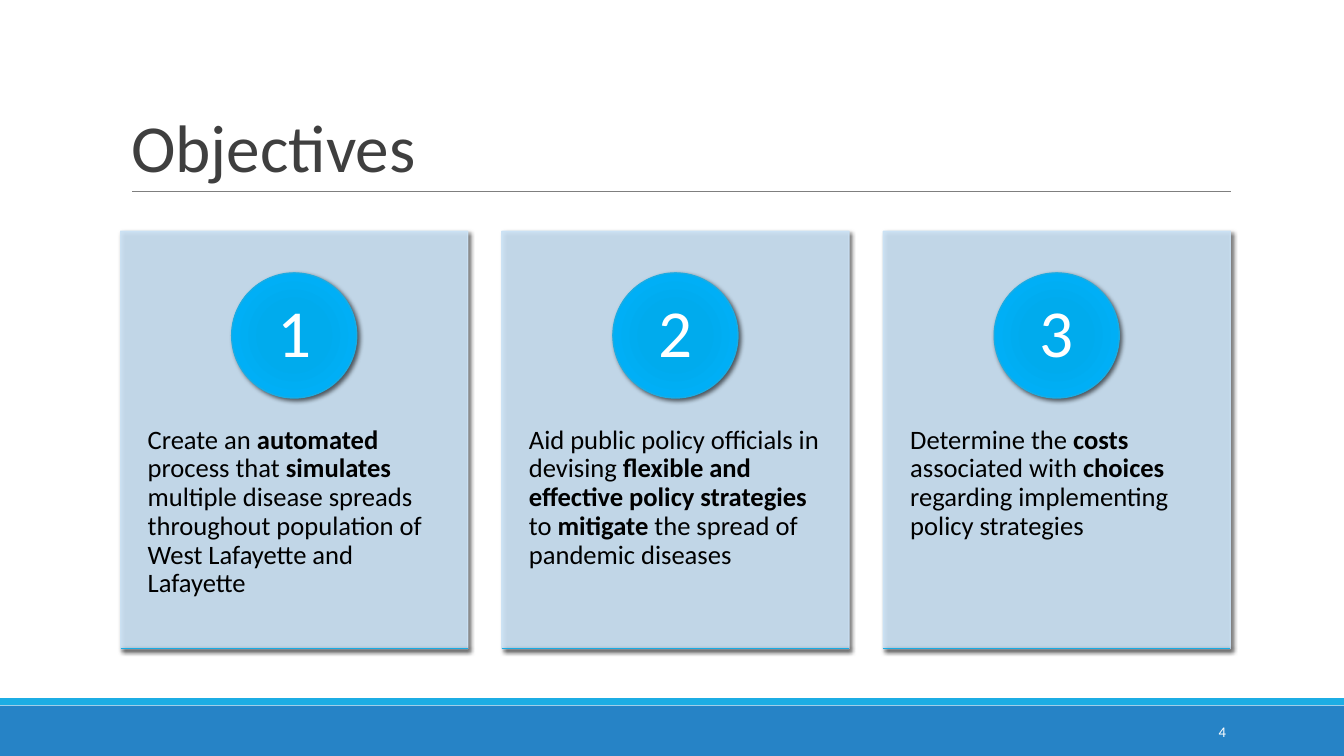
import dataclasses

import lxml.etree
import pptx
import pptx.dml.color
import pptx.enum.shapes
import pptx.enum.text
import pptx.oxml
import pptx.oxml.ns
import pptx.util

Pt = pptx.util.Pt
Shape = pptx.enum.shapes.MSO_SHAPE
Anchor = pptx.enum.text.MSO_ANCHOR
Align = pptx.enum.text.PP_ALIGN
qn = pptx.oxml.ns.qn


@dataclasses.dataclass(frozen=True)
class Theme:
    font: str = "Calibri"
    title: str = "3F3F3F"
    body: str = "000000"
    white: str = "FFFFFF"
    rule: str = "7F7F7F"
    footer: str = "2683C6"
    stripe: str = "1CADE4"
    card: str = "CBE2F5"
    accent: str = "19ACE4"
    badge_stops: tuple = ((0, "00ABEF"), (34, "00ABED"), (70, "00AFF6"), (100, "0EB0EE"))
    card_opacity: int = 89
    large_size: float = 48
    body_size: float = 19
    page_size: float = 10.5


@dataclasses.dataclass(frozen=True)
class Box:
    left: float
    top: float
    width: float
    height: float

    def lengths(self):
        return [Pt(value) for value in dataclasses.astuple(self)]


THEME = Theme()
SLIDE = Box(0, 0, 960, 540)
OBJECTIVES = [
    [("Create an ", False), ("automated", True), (" process that ", False), ("simulates", True),
     (" multiple disease spreads throughout population of West Lafayette and Lafayette", False)],
    [("Aid public policy officials in devising ", False),
     ("flexible and effective policy strategies", True), (" to ", False), ("mitigate ", True),
     ("the spread of pandemic diseases", False)],
    [("Determine the ", False), ("costs", True), (" associated with ", False), ("choices ", True),
     ("regarding implementing policy strategies", False)],
]


def color(value):
    return pptx.dml.color.RGBColor.from_string(value)


def set_frame(frame, horizontal, vertical, anchor):
    frame.word_wrap = True
    frame.auto_size = pptx.enum.text.MSO_AUTO_SIZE.NONE
    frame.margin_left = frame.margin_right = Pt(horizontal)
    frame.margin_top = frame.margin_bottom = Pt(vertical)
    frame.vertical_anchor = anchor


def set_paragraph(paragraph, size, text_color, alignment=Align.LEFT, spacing=0.9):
    paragraph.alignment = alignment
    paragraph.line_spacing = spacing
    paragraph.font.name = THEME.font
    paragraph.font.size = Pt(size)
    paragraph.font.color.rgb = color(text_color)


def add_solid(slide, kind, box, fill):
    shape = slide.shapes.add_shape(kind, *box.lengths())
    shape.shadow.inherit = False
    shape.fill.solid()
    shape.fill.fore_color.rgb = color(fill)
    shape.line.fill.background()
    return shape


def add_line(slide, left, top, width, line_color, weight):
    line = slide.shapes.add_connector(
        pptx.enum.shapes.MSO_CONNECTOR.STRAIGHT, Pt(left), Pt(top), Pt(left + width), Pt(top))
    line.line.color.rgb = color(line_color)
    line.line.width = Pt(weight)
    lxml.etree.SubElement(line.element.spPr, qn("a:effectLst"))
    return line


def add_shadow(shape, blur):
    effects = shape.element.spPr.find(qn("a:effectLst"))
    shadow = lxml.etree.SubElement(
        effects, qn("a:outerShdw"), blurRad=str(Pt(blur)), dist=str(Pt(2)),
        dir=str(45 * 60000), algn="tl", rotWithShape="0")
    black = lxml.etree.SubElement(shadow, qn("a:srgbClr"), val="000000")
    lxml.etree.SubElement(black, qn("a:alpha"), val="60000")


def set_radial_fill(shape, stops):
    shape.fill.gradient()
    gradient = shape.element.spPr.find(qn("a:gradFill"))
    for child in list(gradient):
        gradient.remove(child)
    stop_list = lxml.etree.SubElement(gradient, qn("a:gsLst"))
    for position, value in stops:
        stop = lxml.etree.SubElement(stop_list, qn("a:gs"), pos=str(position * 1000))
        lxml.etree.SubElement(stop, qn("a:srgbClr"), val=value)
    radial = lxml.etree.SubElement(gradient, qn("a:path"), path="circle")
    lxml.etree.SubElement(radial, qn("a:fillToRect"), l="50000", t="50000", r="50000", b="50000")


def add_title(slide, box):
    title = slide.shapes.title
    title.left, title.top, title.width, title.height = box.lengths()
    title.text = "Objectives"
    set_frame(title.text_frame, 7.2, 3.6, Anchor.BOTTOM)
    set_paragraph(title.text_frame.paragraphs[0], THEME.large_size, THEME.title, spacing=0.85)
    add_line(slide, box.left + 8, box.top + box.height, box.width - 7.2, THEME.rule, 0.75)


def add_footer(slide, box):
    add_solid(slide, Shape.RECTANGLE, box, THEME.footer)
    add_solid(slide, Shape.RECTANGLE, Box(box.left, box.top - 5.3, box.width, 5.04), THEME.stripe)
    page_box = Box(box.left + box.width - 180.1, box.top + 4.4, 103, 28.8)
    page = slide.shapes.add_textbox(*page_box.lengths())
    set_frame(page.text_frame, 7.2, 3.6, Anchor.MIDDLE)
    page.text_frame.text = "4"
    set_paragraph(page.text_frame.paragraphs[0], THEME.page_size, THEME.white, Align.RIGHT, 1.0)


def add_badge(slide, box, number):
    badge = add_solid(slide, Shape.OVAL, box, THEME.accent)
    set_radial_fill(badge, THEME.badge_stops)
    badge.line.color.rgb = color(THEME.accent)
    badge.line.width = Pt(1)
    add_shadow(badge, 3.5)
    set_frame(badge.text_frame, 7.2, 0.7, Anchor.MIDDLE)
    badge.text_frame.text = str(number)
    set_paragraph(badge.text_frame.paragraphs[0], THEME.large_size, THEME.white, Align.CENTER)


def add_card(slide, box, number, runs):
    card = add_solid(slide, Shape.RECTANGLE, box, THEME.card)
    card.line.color.rgb = color(THEME.card)
    card.line.width = Pt(1)
    for tint in card.element.spPr.iter(qn("a:srgbClr")):
        lxml.etree.SubElement(tint, qn("a:alpha"), val=str(THEME.card_opacity * 1000))
    add_shadow(card, 3)

    text_box = Box(box.left, box.top + 113.4, box.width, 178.7)
    text = slide.shapes.add_textbox(*text_box.lengths())
    set_frame(text.text_frame, 19.3, 25.9, Anchor.TOP)
    paragraph = text.text_frame.paragraphs[0]
    set_paragraph(paragraph, THEME.body_size, THEME.body)
    for words, bold in runs:
        run = paragraph.add_run()
        run.text = words
        run.font.bold = bold

    diameter = 89.3
    badge_left = box.left + (box.width - diameter) / 2
    add_badge(slide, Box(badge_left, box.top + 29.8, diameter, diameter), number)
    base = add_line(slide, box.left, box.top + box.height, box.width, THEME.accent, 1)
    add_shadow(base, 3.5)


def add_cards(slide, box, gap):
    width = (box.width - gap * (len(OBJECTIVES) - 1)) / len(OBJECTIVES)
    for index, runs in enumerate(OBJECTIVES):
        left = box.left + index * (width + gap)
        add_card(slide, Box(left, box.top, width, box.height), index + 1, runs)


def main():
    presentation = pptx.Presentation()
    presentation.slide_width = Pt(SLIDE.width)
    presentation.slide_height = Pt(SLIDE.height)
    slide = presentation.slides.add_slide(presentation.slide_layouts[5])
    add_footer(slide, Box(0, 504, SLIDE.width, 36))
    add_title(slide, Box(86.4, 22.6, 792, 114.2))
    add_cards(slide, Box(86.2, 165.2, 792.6, 298.2), 24.4)
    presentation.save("out.pptx")


if __name__ == "__main__":
    main()
